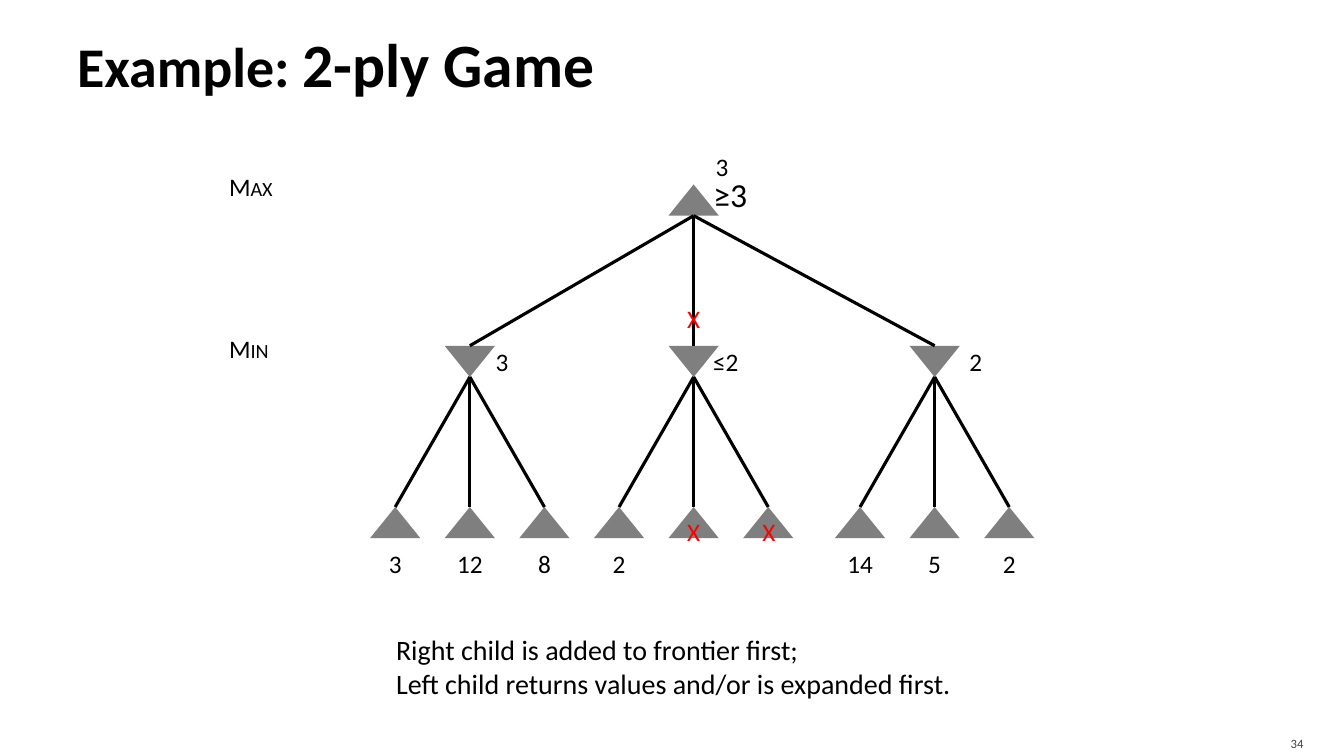
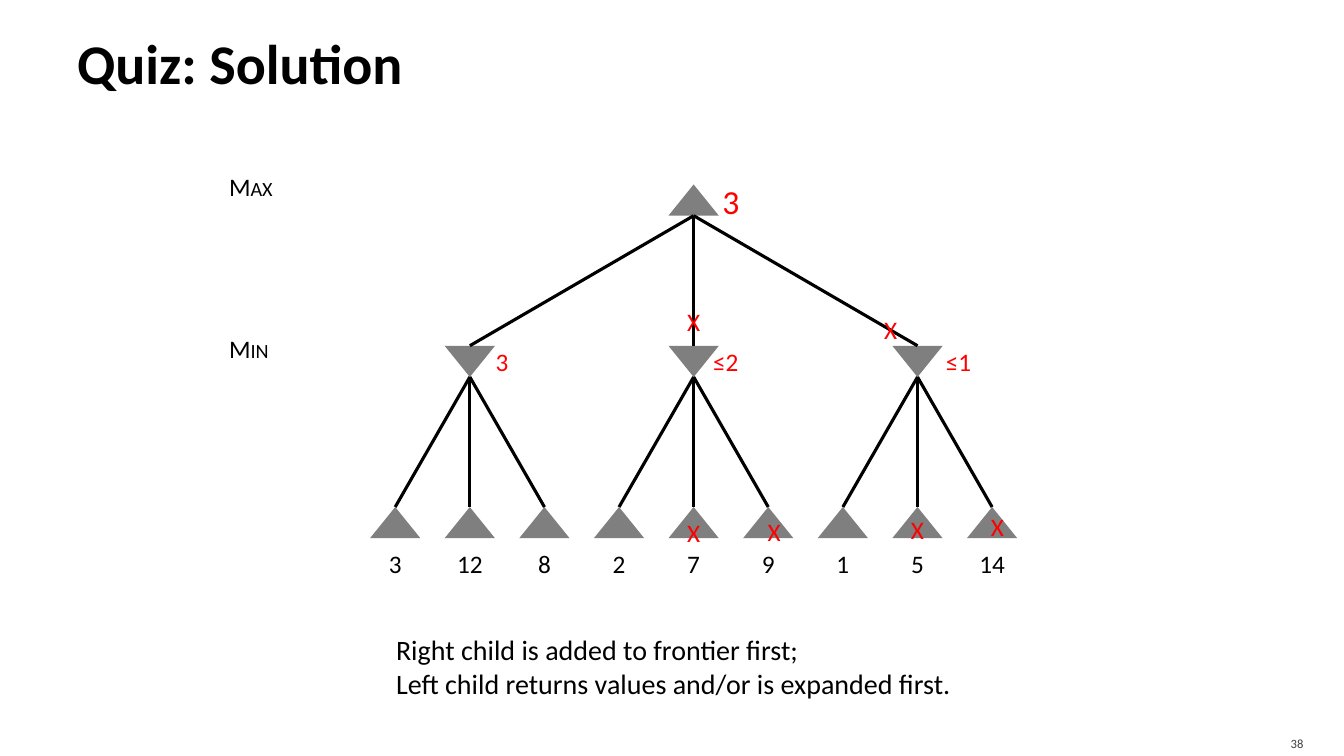
from dataclasses import dataclass
from typing import NamedTuple

from lxml.etree import SubElement
from pptx import Presentation
from pptx.dml.color import RGBColor
from pptx.enum.shapes import MSO_CONNECTOR, MSO_SHAPE
from pptx.enum.text import MSO_ANCHOR, PP_ALIGN
from pptx.oxml.ns import qn
from pptx.shapes.autoshape import Shape
from pptx.slide import Slide
from pptx.text.text import TextFrame
from pptx.util import Inches, Length, Pt


@dataclass(frozen=True)
class Theme:
    font: str = "Calibri"
    black: RGBColor = RGBColor(0, 0, 0)
    red: RGBColor = RGBColor(255, 0, 0)
    node: RGBColor = RGBColor(0x7F, 0x7F, 0x7F)
    footer: RGBColor = RGBColor(0x41, 0x41, 0x41)
    title_size: int = 40
    large_title_size: int = 44
    root_size: int = 24
    caption_size: int = 20
    label_size: int = 18
    footer_size: int = 9
    edge_width: float = 2.25


@dataclass(frozen=True)
class Grid:
    left: float = 3.92
    top: float = 1.83
    column: float = 0.74
    row: float = 1.6

    def x(self, column: float) -> float:
        return self.left + column * self.column

    def y(self, row: float) -> float:
        return self.top + row * self.row


THEME = Theme()
GRID = Grid()
SLIDE_WIDTH, SLIDE_HEIGHT = 13.33, 7.5
NODE_WIDTH, NODE_HEIGHT = 0.5, 0.31
LABEL_HEIGHT = 0.5
ROOT_COLUMN = 4
MIN_VALUE_ROW, LEAF_VALUE_ROW = 1.1, 2.35
LEVELS = ("Max", "Min")
CAPTION = (
    "Right child is added to frontier first;",
    "Left child returns values and/or is expanded first.",
)


class Box(NamedTuple):
    left: float
    top: float
    width: float
    height: float

    def lengths(self) -> tuple[Length, ...]:
        return tuple(Inches(value) for value in self)


class Margins(NamedTuple):
    left: float = 0.1
    top: float = 0.05
    right: float = 0.1
    bottom: float = 0.05


class TextStyle(NamedTuple):
    size: int = THEME.label_size
    color: RGBColor = THEME.black
    bold: bool = False
    alignment: PP_ALIGN = PP_ALIGN.LEFT
    anchor: MSO_ANCHOR = MSO_ANCHOR.TOP
    margins: Margins = Margins()


class Label(NamedTuple):
    text: str
    column: float
    row: float
    size: int = THEME.label_size
    color: RGBColor = THEME.black


class Cross(NamedTuple):
    column: float
    row: float


class Subtree(NamedTuple):
    column: float
    value: str
    leaves: tuple[str, str, str]
    value_shift: float = 0.43


class TitlePart(NamedTuple):
    text: str
    size: int = THEME.title_size


@dataclass(frozen=True)
class GameTree:
    title: tuple[TitlePart, ...]
    number: str
    value_color: RGBColor
    subtrees: tuple[Subtree, ...]
    root_values: tuple[Label, ...]
    crosses: tuple[Cross, ...]


GAMES = (
    GameTree(
        title=(TitlePart("Example: "), TitlePart("2-ply Game", THEME.large_title_size)),
        number="34",
        value_color=THEME.black,
        subtrees=(
            Subtree(1, "3", ("3", "12", "8")),
            Subtree(4, "≤2", ("2", "", "")),
            Subtree(7.23, "2", ("14", "5", "2"), 0.55),
        ),
        root_values=(
            Label("≥3", 4.49, 0.06, THEME.root_size),
            Label("3", 4.38, -0.11),
        ),
        crosses=(Cross(4, 0.83), Cross(4, 2.15), Cross(5.01, 2.15)),
    ),
    GameTree(
        title=(TitlePart("Quiz: Solution"),),
        number="38",
        value_color=THEME.red,
        subtrees=(
            Subtree(1, "3", ("3", "12", "8")),
            Subtree(4, "≤2", ("2", "7", "9")),
            Subtree(7, "≤1", ("1", "5", "14"), 0.55),
        ),
        root_values=(Label("3", 4.5, 0.1, THEME.root_size, THEME.red),),
        crosses=(
            Cross(4, 0.85),
            Cross(6.64, 0.9),
            Cross(4, 2.16),
            Cross(5.08, 2.15),
            Cross(7, 2.14),
            Cross(8.07, 2.12),
        ),
    ),
)


def add_text(slide: Slide, box: Box, lines: tuple[str, ...], style: TextStyle) -> TextFrame:
    frame = slide.shapes.add_textbox(*box.lengths()).text_frame
    frame.word_wrap = True
    frame.vertical_anchor = style.anchor
    margins = style.margins
    frame.margin_left, frame.margin_top = Inches(margins.left), Inches(margins.top)
    frame.margin_right, frame.margin_bottom = Inches(margins.right), Inches(margins.bottom)
    frame.text = "\n".join(lines)
    for paragraph in frame.paragraphs:
        paragraph.alignment = style.alignment
        paragraph.font.name = THEME.font
        paragraph.font.size = Pt(style.size)
        paragraph.font.bold = style.bold
        paragraph.font.color.rgb = style.color
    return frame


def add_title(slide: Slide, parts: tuple[TitlePart, ...]) -> None:
    box = Box(0.05 * SLIDE_WIDTH, 0.08, 0.9 * SLIDE_WIDTH, 1.08)
    style = TextStyle(
        THEME.title_size, bold=True, anchor=MSO_ANCHOR.MIDDLE, margins=Margins(right=0.05)
    )
    paragraph = add_text(slide, box, ("",), style).paragraphs[0]
    for part in parts:
        run = paragraph.add_run()
        run.text = part.text
        run.font.size = Pt(part.size)


def add_slide_number(slide: Slide, number: str) -> None:
    box = Box(11.96, 0.96 * SLIDE_HEIGHT, 0.08 * SLIDE_WIDTH, 0.04 * SLIDE_HEIGHT)
    style = TextStyle(
        THEME.footer_size,
        THEME.footer,
        alignment=PP_ALIGN.RIGHT,
        anchor=MSO_ANCHOR.MIDDLE,
        margins=Margins(bottom=0),
    )
    add_text(slide, box, (number,), style)


def add_label(slide: Slide, label: Label) -> None:
    box = Box(
        GRID.x(label.column) - NODE_WIDTH / 2,
        GRID.y(label.row) - LABEL_HEIGHT / 2,
        NODE_WIDTH,
        LABEL_HEIGHT,
    )
    style = TextStyle(
        label.size,
        label.color,
        alignment=PP_ALIGN.CENTER,
        anchor=MSO_ANCHOR.MIDDLE,
        margins=Margins(0, 0, 0, 0),
    )
    add_text(slide, box, (label.text,), style)


def add_node(slide: Slide, column: float, row: int, rotation: int = 0) -> Shape:
    box = Box(GRID.x(column) - NODE_WIDTH / 2, GRID.y(row), NODE_WIDTH, NODE_HEIGHT)
    node = slide.shapes.add_shape(MSO_SHAPE.ISOSCELES_TRIANGLE, *box.lengths())
    node.rotation = rotation
    node.shadow.inherit = False
    node.fill.solid()
    node.fill.fore_color.rgb = THEME.node
    node.line.fill.background()
    return node


def add_edge(
    slide: Slide, parent: float, child: float, row: int, leaf: Shape | None = None
) -> None:
    edge = slide.shapes.add_connector(
        MSO_CONNECTOR.STRAIGHT,
        Inches(GRID.x(parent)),
        Inches(GRID.y(row) + NODE_HEIGHT),
        Inches(GRID.x(child)),
        Inches(GRID.y(row + 1)),
    )
    edge.line.color.rgb = THEME.black
    edge.line.width = Pt(THEME.edge_width)
    SubElement(edge._element.spPr, qn("a:effectLst"))
    if leaf is not None:
        edge.end_connect(leaf, 0)


def add_subtree(slide: Slide, subtree: Subtree, value_color: RGBColor) -> None:
    center = subtree.column
    add_node(slide, center, 1, rotation=180)
    add_edge(slide, ROOT_COLUMN, center, 0)
    for column, value in enumerate(subtree.leaves, start=-1):
        leaf = add_node(slide, center + column, 2)
        add_edge(slide, center, center + column, 1, leaf)
        if value:
            add_label(slide, Label(value, center + column, LEAF_VALUE_ROW))
    value_column = center + subtree.value_shift
    add_label(slide, Label(subtree.value, value_column, MIN_VALUE_ROW, color=value_color))


def add_level_names(slide: Slide) -> None:
    for row, name in enumerate(LEVELS):
        box = Box(GRID.x(-2.36), GRID.y(row - 0.11), 0.75, 0.4)
        frame = add_text(slide, box, (name,), TextStyle())
        frame.paragraphs[0].runs[0]._r.get_or_add_rPr().set("cap", "small")


def draw_game(slide: Slide, game: GameTree) -> None:
    add_title(slide, game.title)
    add_slide_number(slide, game.number)
    add_level_names(slide)
    add_node(slide, ROOT_COLUMN, 0)
    for subtree in game.subtrees:
        add_subtree(slide, subtree, game.value_color)
    for label in game.root_values:
        add_label(slide, label)
    for cross in game.crosses:
        add_label(slide, Label("X", cross.column, cross.row, color=THEME.red))
    add_text(slide, Box(3.83, 6.23, 5.97, 0.77), CAPTION, TextStyle(THEME.caption_size))


def main() -> None:
    presentation = Presentation()
    presentation.slide_width = Inches(SLIDE_WIDTH)
    presentation.slide_height = Inches(SLIDE_HEIGHT)
    blank_layout = presentation.slide_layouts[6]
    for game in GAMES:
        draw_game(presentation.slides.add_slide(blank_layout), game)
    presentation.save("out.pptx")


if __name__ == "__main__":
    main()
